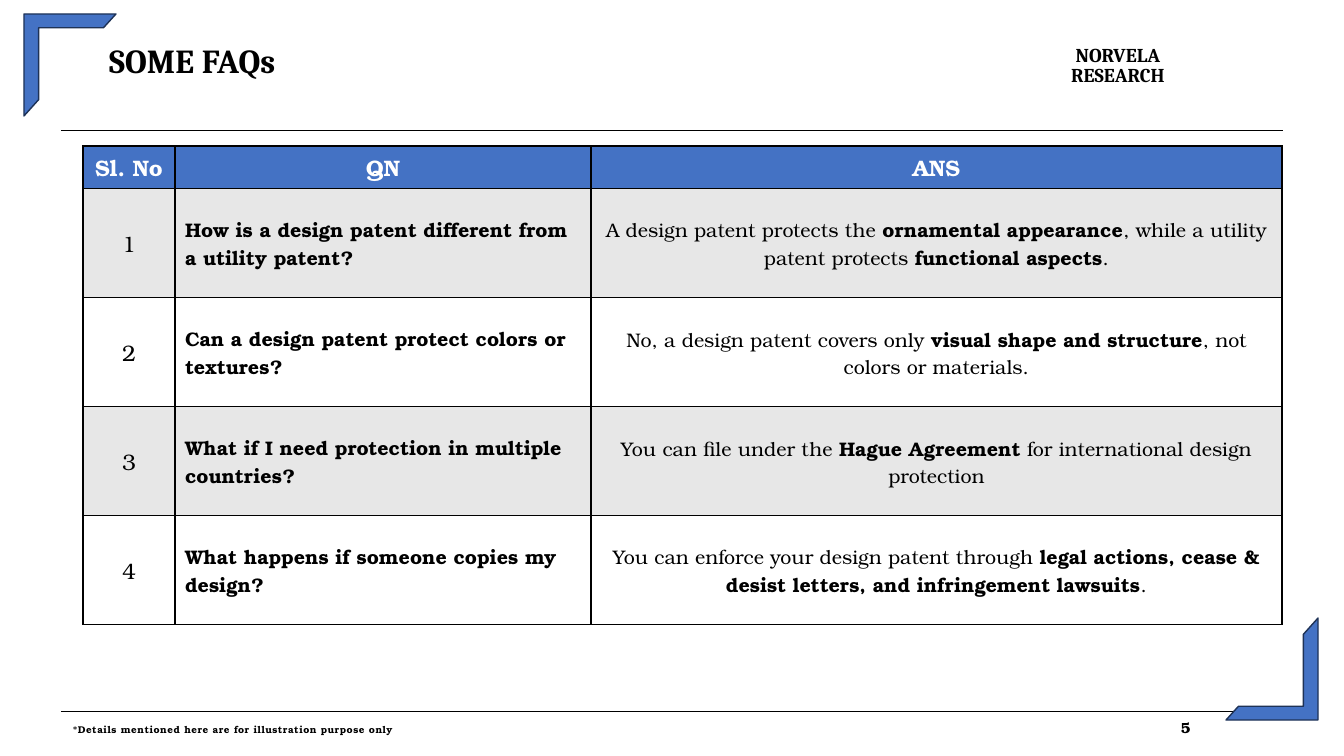
import dataclasses

import lxml.etree
import pptx
import pptx.dml.color
import pptx.enum.shapes
import pptx.enum.text
import pptx.oxml.ns
import pptx.util

RGBColor = pptx.dml.color.RGBColor
BLUE = RGBColor(0x44, 0x72, 0xC4)
NAVY = RGBColor(0x1E, 0x32, 0x56)
GREY = RGBColor(0xE7, 0xE7, 0xE7)
WHITE = RGBColor(0xFF, 0xFF, 0xFF)
BLACK = RGBColor(0, 0, 0)

HEADING_FONT = "Cambria"
BODY_FONT = "TeX Gyre Bonum"
CENTER = pptx.enum.text.PP_ALIGN.CENTER
LEFT = pptx.enum.text.PP_ALIGN.LEFT
EMU_PER_PX = 914400 / 100.8


@dataclasses.dataclass
class Label:
    lines: tuple[str, ...]
    box: tuple[int, int, int, int]
    font: str
    size: float
    line_spacing: float
    char_spacing: int
    align: int = LEFT


@dataclasses.dataclass
class Corner:
    x: int
    y: int
    rotation: int


@dataclasses.dataclass
class Rule:
    y: int
    width: float


@dataclasses.dataclass
class Faq:
    question: str
    answer: tuple[str, ...]


TITLE = Label(("SOME FAQs",), (109, 48, 800, 60), HEADING_FONT, 24, 0.79, 10)
LABELS = [
    Label(("NORVELA", "RESEARCH"), (1058, 46, 120, 43), HEADING_FONT, 14, 0.87, 0, CENTER),
    Label(("*Details mentioned here are for illustration purpose only",),
          (73, 726, 500, 14), BODY_FONT, 7, 0.84, 40),
    Label(("5",), (1181, 722, 40, 20), BODY_FONT, 10.5, 0.84, 40),
]
RULES = [Rule(130, 0.6), Rule(711, 0.5)]
CORNERS = [Corner(24, 14, 0), Corner(1226, 618, 180)]
HEADERS = ("Sl. No", "QN", "ANS")
COLUMNS = (92, 416, 691)
HEADER_HEIGHT = 40
ROW_HEIGHT = 109
FAQS = [
    Faq("How is a design patent different from a utility patent?",
        ("A design patent protects the ", "ornamental appearance",
         ", while a utility patent protects ", "functional aspects", ".")),
    Faq("Can a design patent protect colors or textures?",
        ("No, a design patent covers only ", "visual shape and structure",
         ", not colors or materials.")),
    Faq("What if I need protection in multiple countries?",
        ("You can file under the ", "Hague Agreement",
         " for international design protection")),
    Faq("What happens if someone copies my design?",
        ("You can enforce your design patent through ",
         "legal actions, cease & desist letters, and infringement lawsuits", ".")),
]


def px(n: float) -> int:
    return round(n * EMU_PER_PX)


def format_run(r, font: str, size: float, color: RGBColor, bold: bool) -> None:
    r.font.name = font
    r.font.size = pptx.util.Pt(size)
    r.font.color.rgb = color
    r.font.bold = bold


def write_label(sp, label: Label) -> None:
    sp.left, sp.top, sp.width, sp.height = map(px, label.box)
    tf = sp.text_frame
    tf.text = "\n".join(label.lines)
    tf.word_wrap = True
    tf.auto_size = pptx.enum.text.MSO_AUTO_SIZE.NONE
    tf.vertical_anchor = pptx.enum.text.MSO_ANCHOR.TOP
    tf.margin_left = tf.margin_top = tf.margin_right = tf.margin_bottom = 0
    for p in tf.paragraphs:
        p.alignment = label.align
        p.line_spacing = label.line_spacing
        p.space_before = pptx.util.Pt(0)
        for r in p.runs:
            format_run(r, label.font, label.size, BLACK, True)
            r.font._element.set("spc", str(label.char_spacing))


def add_rule(s, rule: Rule) -> None:
    line = s.shapes.add_connector(
        pptx.enum.shapes.MSO_CONNECTOR.STRAIGHT, px(61), px(rule.y), px(1283), px(rule.y))
    line.line.color.rgb = BLACK
    line.line.width = pptx.util.Pt(rule.width)
    lxml.etree.SubElement(line._element.spPr, pptx.oxml.ns.qn("a:effectLst"))


def add_corner(s, corner: Corner) -> None:
    sp = s.shapes.add_shape(pptx.enum.shapes.MSO_SHAPE.HALF_FRAME,
                            px(corner.x), px(corner.y), px(92), px(102))
    sp.adjustments[0], sp.adjustments[1] = 0.15, 0.16
    sp.rotation = corner.rotation
    sp.shadow.inherit = False
    sp.fill.solid()
    sp.fill.fore_color.rgb = BLUE
    sp.line.color.rgb = NAVY
    sp.line.width = pptx.util.Pt(1)


def add_borders(cell) -> None:
    qn = pptx.oxml.ns.qn
    tc_pr = cell._tc.get_or_add_tcPr()
    for side in ("a:lnL", "a:lnR", "a:lnT", "a:lnB"):
        ln = lxml.etree.SubElement(tc_pr, qn(side), w=str(pptx.util.Pt(1)))
        fill = lxml.etree.SubElement(ln, qn("a:solidFill"))
        lxml.etree.SubElement(fill, qn("a:srgbClr"), val=str(BLACK))


def write_cell(cell, parts: tuple[str, ...], size: float, color: RGBColor,
               fill: RGBColor, bold_first: bool, align: int = CENTER) -> None:
    add_borders(cell)
    cell.fill.solid()
    cell.fill.fore_color.rgb = fill
    cell.vertical_anchor = pptx.enum.text.MSO_ANCHOR.MIDDLE
    p = cell.text_frame.paragraphs[0]
    p.alignment = align
    for i, part in enumerate(parts):
        r = p.add_run()
        r.text = part
        format_run(r, BODY_FONT, size, color, bold_first == (i % 2 == 0))


def add_faq_table(s) -> None:
    height = HEADER_HEIGHT + ROW_HEIGHT * len(FAQS)
    table = s.shapes.add_table(len(FAQS) + 1, len(COLUMNS), px(83), px(146),
                               px(sum(COLUMNS)), px(height)).table
    for column, width in zip(table.columns, COLUMNS):
        column.width = px(width)
    for i, row in enumerate(table.rows):
        row.height = px(ROW_HEIGHT if i else HEADER_HEIGHT)
    for j, header in enumerate(HEADERS):
        write_cell(table.cell(0, j), (header,), 16, WHITE, BLUE, True)
    for i, faq in enumerate(FAQS, 1):
        fill = GREY if i % 2 else WHITE
        write_cell(table.cell(i, 0), (str(i),), 16, BLACK, fill, False)
        write_cell(table.cell(i, 1), (faq.question,), 14, BLACK, fill, True, LEFT)
        write_cell(table.cell(i, 2), faq.answer, 14, BLACK, fill, False)


def main() -> None:
    prs = pptx.Presentation()
    prs.slide_width, prs.slide_height = px(1344), px(756)
    s = prs.slides.add_slide(prs.slide_layouts.get_by_name("Title Only"))
    write_label(s.shapes.title, TITLE)
    for rule in RULES:
        add_rule(s, rule)
    add_faq_table(s)
    for corner in CORNERS:
        add_corner(s, corner)
    for label in LABELS:
        write_label(s.shapes.add_textbox(0, 0, 0, 0), label)
    prs.save("out.pptx")


if __name__ == "__main__":
    main()
